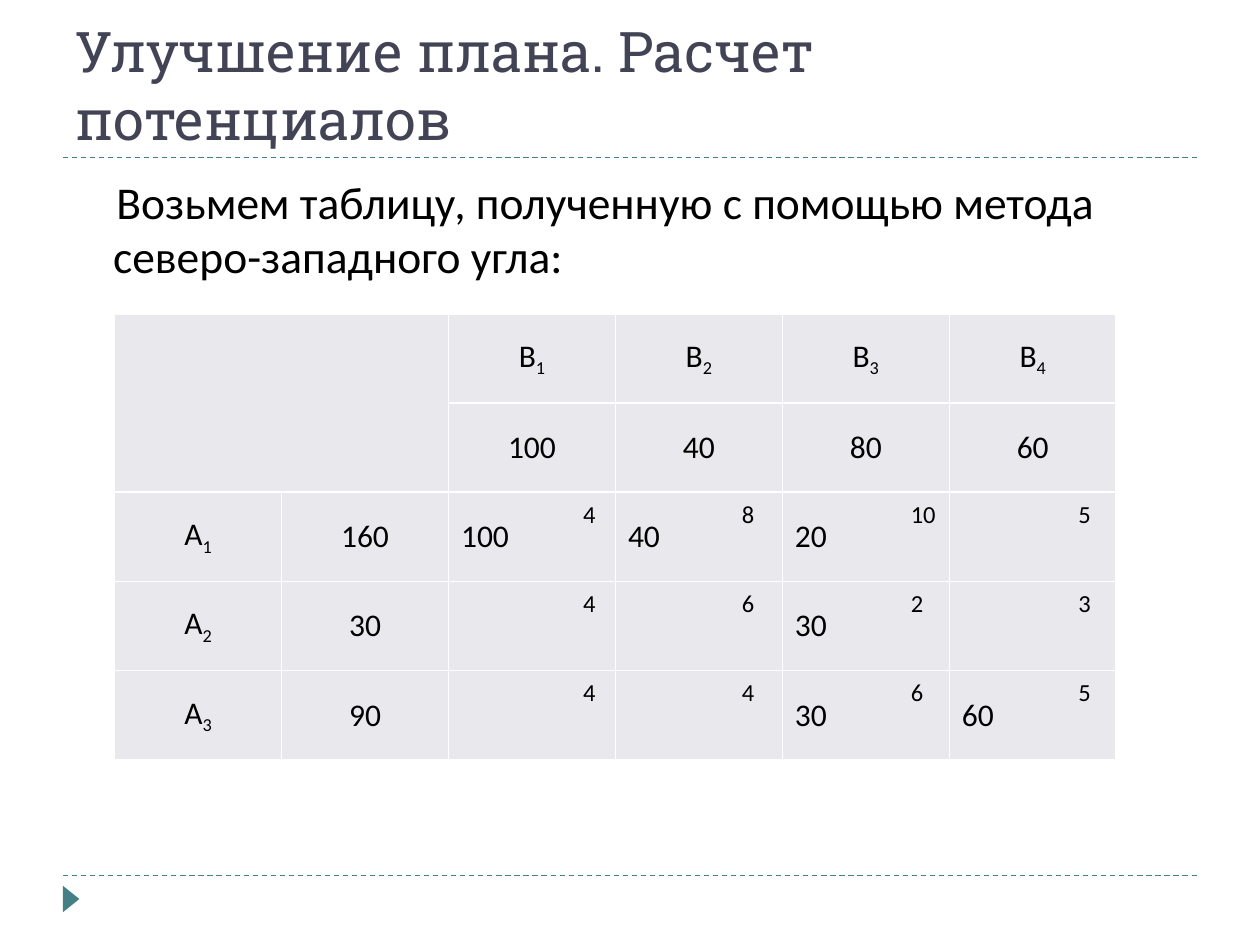
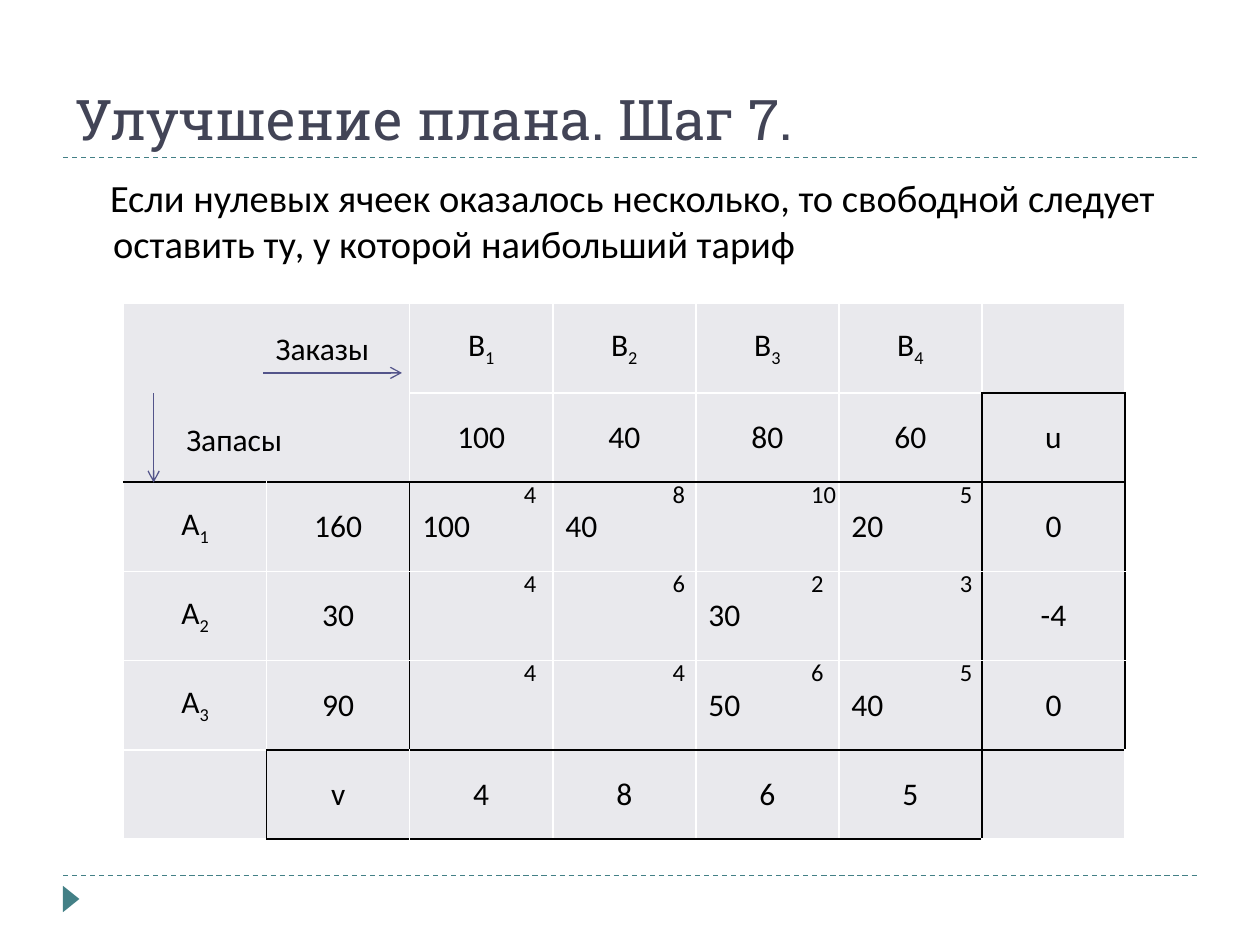
from lxml import etree
from pptx import Presentation
from pptx.dml.color import RGBColor
from pptx.enum.dml import MSO_LINE
from pptx.enum.shapes import MSO_CONNECTOR, MSO_SHAPE
from pptx.enum.text import MSO_ANCHOR, PP_ALIGN
from pptx.oxml.ns import qn
from pptx.util import Pt

DASH = MSO_LINE.DASH
STRAIGHT = MSO_CONNECTOR.STRAIGHT
TRIANGLE = MSO_SHAPE.ISOSCELES_TRIANGLE
TOP, MIDDLE, BOTTOM = MSO_ANCHOR.TOP, MSO_ANCHOR.MIDDLE, MSO_ANCHOR.BOTTOM
LEFT, CENTER = PP_ALIGN.LEFT, PP_ALIGN.CENTER

TEAL, INDIGO, ARROW_COLOR = "438086", "424456", "53548A"
CELL_FILL, BLACK, WHITE = "E9E9ED", "000000", "FFFFFF"
TITLE_FONT, BODY_FONT = "Roboto Slab", "Calibri"

ROW_HEIGHT = 51
TABLE_WIDTH = 572.4
BODY_INDENT = 21.6

DEMANDS = [("B1", "100"), ("B2", "40"), ("B3", "80"), ("B4", "60")]
SUPPLIES = [("A1", "160"), ("A2", "30"), ("A3", "90")]
TARIFFS = [["4", "8", "10", "5"], ["4", "6", "2", "3"], ["4", "4", "6", "5"]]

# Black edges: (grid line, first cell, end cell)
POTENTIAL_ROW_EDGES = [(1, 6, 7), (2, 0, 7), (5, 1, 7), (6, 1, 6)]
POTENTIAL_COLUMN_EDGES = [(1, 5, 6), (2, 2, 5), (6, 1, 6), (7, 1, 5)]

SLIDES = [
    {
        "title": "Улучшение плана. Расчет потенциалов",
        "body": "Возьмем таблицу, полученную с помощью метода северо-западного угла:",
        "body_size": 26,
        "first_indent": 1.9,
        "table_at": (65.5, 179.3),
        "plan": [["100", "40", "20", ""], ["", "", "30", ""], ["", "", "30", "60"]],
        "tariff_lefts": [326.2, 416.9, 513.4, 609.1],
        "tariff_top": 281.4,
    },
    {
        "title": "Улучшение плана. Шаг 7.",
        "body": "Если нулевых ячеек оказалось несколько, то свободной следует "
                "оставить ту, у которой наибольший тариф",
        "body_size": 22,
        "first_indent": -1.7,
        "table_at": (70.6, 173.5),
        "plan": [["100", "40", "", "20"], ["", "", "30", ""], ["", "", "50", "40"]],
        "potentials": {"u": ["0", "-4", "0"], "v": ["4", "8", "6", "5"]},
        "tariff_lefts": [292.3, 377.3, 456.5, 541.4],
        "tariff_top": 270,
        "labels": [("Заказы", 150.5, 184.3), ("Запасы", 99.4, 236.2)],
        "arrows": [(150.5, 213.1, 229.7, 213.1), (87.8, 224.6, 87.8, 275.8)],
    },
]


def color(value):
    return RGBColor.from_string(value)


def add_span(para, text, size, font=BODY_FONT, tint=BLACK):
    span = para.add_run()
    span.text = text
    span.font.size = Pt(size)
    span.font.name = font
    span.font.color.rgb = color(tint)
    return span


def add_text(page, bounds, text, size, font=BODY_FONT, tint=BLACK, anchor=TOP, wrap=True):
    box = page.shapes.add_textbox(*map(Pt, bounds))
    box.text_frame.word_wrap = wrap
    box.text_frame.vertical_anchor = anchor
    para = box.text_frame.paragraphs[0]
    add_span(para, text, size, font, tint)
    return para


def add_line(page, ends, tint):
    line = page.shapes.add_connector(STRAIGHT, *map(Pt, ends))
    line.line.color.rgb = color(tint)
    line.line.width = Pt(0.75)
    etree.SubElement(line._element.spPr, qn("a:effectLst"))
    return line


def add_arrow(page, ends):
    outline = add_line(page, ends, ARROW_COLOR).line._get_or_add_ln()
    etree.SubElement(outline, qn("a:tailEnd"), type="arrow")


def add_frame(page, title):
    """Draw the rules, the corner marker and the title common to all slides."""
    for y in (500.4, 90):
        add_line(page, (36, y, 684, y), TEAL).line.dash_style = DASH
    marker = page.shapes.add_shape(TRIANGLE, Pt(33.1), Pt(509), Pt(15.1), Pt(9.4))
    marker.rotation = 90
    marker.shadow.inherit = False
    marker.fill.solid()
    marker.fill.fore_color.rgb = color(TEAL)
    marker.line.fill.background()
    add_text(page, (36, 12.2, 648, 77.8), title, 32, TITLE_FONT, INDIGO, BOTTOM)


def add_body(page, text, size, first_indent):
    para = add_text(page, (36, 95.8, 648, 388.8), text, size)
    para.space_before = Pt(6)
    properties = para._p.get_or_add_pPr()
    properties.set("marL", str(Pt(BODY_INDENT)))
    properties.set("indent", str(Pt(first_indent)))


def table_rows(plan, potentials):
    """Join demands, supplies and plan, with the potentials around them if given."""
    rows = [["", ""] + [name for name, _ in DEMANDS],
            ["", ""] + [amount for _, amount in DEMANDS]]
    rows += [[*supply, *amounts] for supply, amounts in zip(SUPPLIES, plan)]
    if potentials:
        for row, value in zip(rows, ["", "u", *potentials["u"]]):
            row.append(value)
        rows.append(["", "v", *potentials["v"], ""])
    return rows


def edge_set(edges):
    return {(line, cell) for line, first, end in edges for cell in range(first, end)}


def set_borders(cell, sides):
    properties = cell._tc.get_or_add_tcPr()
    for side, is_black in zip("LRTB", sides):
        border = etree.SubElement(properties, qn(f"a:ln{side}"), w=str(Pt(1)))
        fill = etree.SubElement(border, qn("a:solidFill"))
        etree.SubElement(fill, qn("a:srgbClr"), val=BLACK if is_black else WHITE)


def fill_cell(cell, text, align):
    cell.fill.solid()
    cell.fill.fore_color.rgb = color(CELL_FILL)
    cell.vertical_anchor = MIDDLE
    para = cell.text_frame.paragraphs[0]
    para.alignment = align
    if text[:1] in ("A", "B"):
        add_span(para, text[0], 18)
        index = add_span(para, text[1:], 18)
        index.font._element.set("baseline", "-25000")
    elif text:
        add_span(para, text, 18)


def add_plan_table(page, position, plan, potentials):
    rows = table_rows(plan, potentials)
    row_count, column_count = len(rows), len(rows[0])
    frame = page.shapes.add_table(row_count, column_count, *map(Pt, position),
                                  Pt(TABLE_WIDTH), Pt(ROW_HEIGHT * row_count))
    table = frame.table
    table.first_row = table.horz_banding = False
    for column in table.columns:
        column.width = Pt(TABLE_WIDTH / column_count)
    for row in table.rows:
        row.height = Pt(ROW_HEIGHT)
    table.cell(0, 0).merge(table.cell(1, 1))

    across = edge_set(POTENTIAL_ROW_EDGES if potentials else [])
    down = edge_set(POTENTIAL_COLUMN_EDGES if potentials else [])
    for r, row in enumerate(rows):
        for c, text in enumerate(row):
            cell = table.cell(r, c)
            right, bottom = c + 1, r + 1
            if cell.is_merge_origin:
                right, bottom = c + cell.span_width, r + cell.span_height
            set_borders(cell, ((c, r) in down, (right, r) in down,
                               (r, c) in across, (bottom, c) in across))
            in_plan = 2 <= r < 2 + len(SUPPLIES) and 2 <= c < 2 + len(DEMANDS)
            fill_cell(cell, text, LEFT if in_plan else CENTER)


def add_tariffs(page, lefts, top):
    for r, tariffs in enumerate(TARIFFS):
        for left, tariff in zip(lefts, tariffs):
            add_text(page, (left, top + r * ROW_HEIGHT, 33.8, 24.5), tariff, 14)


def main():
    deck = Presentation()
    deck.slide_width, deck.slide_height = Pt(720), Pt(540)
    for content in SLIDES:
        page = deck.slides.add_slide(deck.slide_layouts[6])
        add_frame(page, content["title"])
        add_body(page, content["body"], content["body_size"], content["first_indent"])
        add_plan_table(page, content["table_at"], content["plan"], content.get("potentials"))
        add_tariffs(page, content["tariff_lefts"], content["tariff_top"])
        for text, left, top in content.get("labels", []):
            add_text(page, (left, top, 69, 28.8), text, 18, wrap=False)
        for ends in content.get("arrows", []):
            add_arrow(page, ends)
    deck.save("out.pptx")


if __name__ == "__main__":
    main()
